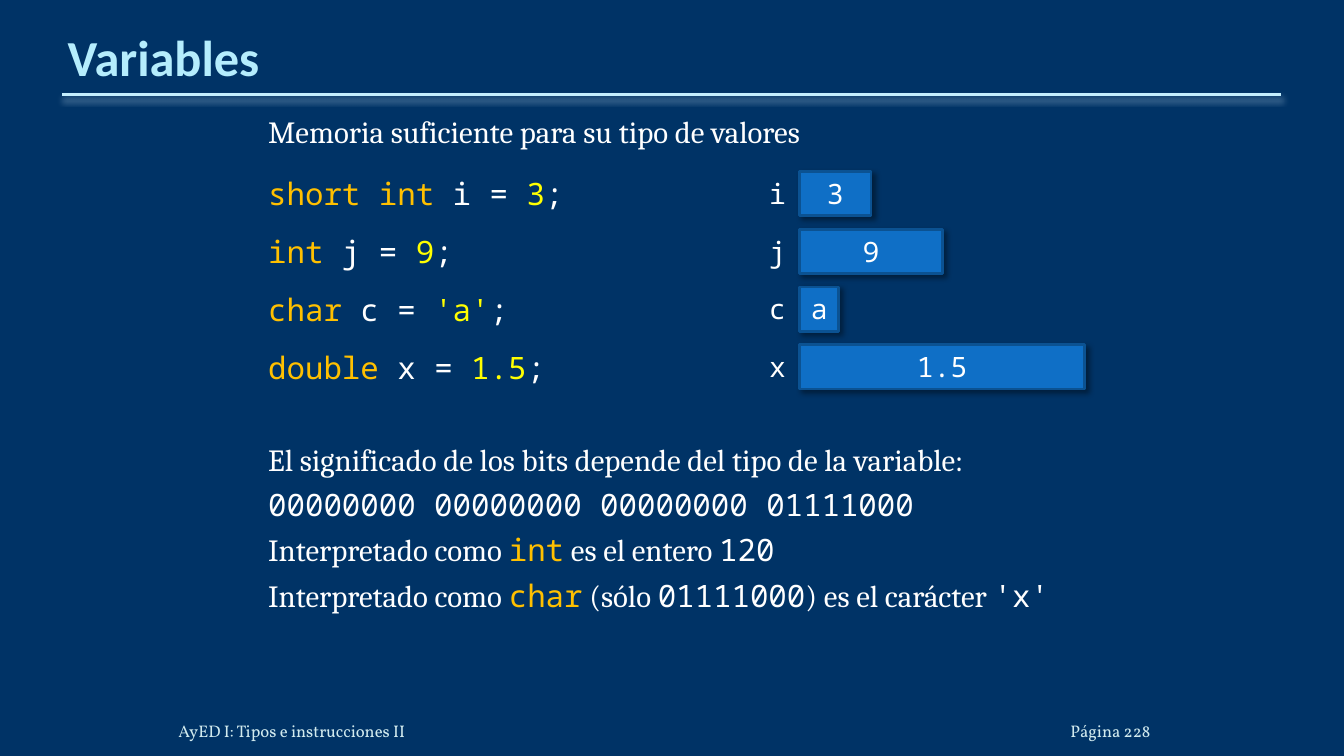
import pptx
import pptx.util
import pptx.dml.color
import pptx.enum.shapes
import pptx.enum.text
import pptx.oxml
from dataclasses import dataclass

Inches = pptx.util.Inches
Pt = pptx.util.Pt
ANCHOR = pptx.enum.text.MSO_ANCHOR
ALIGN = pptx.enum.text.PP_ALIGN
AUTO = pptx.enum.text.MSO_AUTO_SIZE
DRAWING = 'xmlns:a="http://schemas.openxmlformats.org/drawingml/2006/main"'


@dataclass(frozen=True)
class Theme:
    background: str = "003366"
    title: str = "B5EDFD"
    title_outline: str = "0070C0"
    rule: str = "C4EFFF"
    rule_shadow: str = "9AB8D0"
    text: str = "FFFFFF"
    keyword: str = "FFC000"
    literal: str = "FFFF00"
    footer: str = "D1EAEE"
    cell: str = "0F6FC6"
    cell_line: str = "0B5292"
    cell_shadow: str = "000000"
    title_size: int = 36
    body_size: int = 22
    cell_size: int = 20
    footer_size: int = 12
    heading_font: str = "Calibri"
    prose_font: str = "Cambria"
    code_font: str = "Noto Sans Mono"
    footer_font: str = "Vollkorn"


THEME = Theme()

# Span styles: font and colour
PROSE = (THEME.prose_font, THEME.text)
CODE = (THEME.code_font, THEME.text)
KEYWORD = (THEME.code_font, THEME.keyword)
LITERAL = (THEME.code_font, THEME.literal)

# Declarations: type, name, value, width of the memory cell
VARIABLES = [
    ("short int", "i", "3", 0.71),
    ("int", "j", "9", 1.42),
    ("char", "c", "'a'", 0.39),
    ("double", "x", "1.5", 2.83),
]
BITS_LINES = [
    [("El significado de los bits depende del tipo de la variable:", PROSE)],
    [("00000000 00000000 00000000 01111000", CODE)],
    [("Interpretado como ", PROSE), ("int", KEYWORD),
     (" es el entero ", PROSE), ("120", CODE)],
    [("Interpretado como ", PROSE), ("char", KEYWORD), (" (sólo ", PROSE),
     ("01111000", CODE), (") es el carácter ", PROSE), ("'x'", CODE)],
]


def color(code):
    return pptx.dml.color.RGBColor.from_string(code)


def apply(target, values):
    for name, value in values.items():
        setattr(target, name, value)


def place(shape, box):
    left, top, width, height = (Inches(length) for length in box)
    apply(shape, {"left": left, "top": top, "width": width, "height": height})


def set_frame(frame, margins=(0.1, 0.05, 0.1, 0.05), anchor=ANCHOR.TOP,
              wrap=True, auto_size=AUTO.NONE):
    left, top, right, bottom = (Inches(length) for length in margins)
    apply(frame, {"margin_left": left, "margin_top": top, "margin_right": right,
                  "margin_bottom": bottom, "vertical_anchor": anchor,
                  "word_wrap": wrap, "auto_size": auto_size})


def add_span(para, text, style, size, bold=False):
    font, code = style
    span = para.add_run()
    span.text = text
    apply(span.font, {"name": font, "size": Pt(size), "bold": bold})
    span.font.color.rgb = color(code)
    return span


def add_shadow(shape, code, opacity, blur, distance, angle):
    shape._element.spPr.append(pptx.oxml.parse_xml(
        f'<a:effectLst {DRAWING}><a:outerShdw blurRad="{Pt(blur)}" '
        f'dist="{Pt(distance)}" dir="{angle * 60000}" algn="tl" rotWithShape="0">'
        f'<a:srgbClr val="{code}"><a:alpha val="{opacity * 1000}"/></a:srgbClr>'
        '</a:outerShdw></a:effectLst>'))


def add_header(page, box):
    left, top, width, height = box
    # Title
    title = page.shapes.title
    place(title, box)
    set_frame(title.text_frame, (0, 0.05, 0, 0), ANCHOR.BOTTOM)
    para = title.text_frame.paragraphs[0]
    para.alignment = ALIGN.LEFT
    span = add_span(para, "Variables", (THEME.heading_font, THEME.title),
                    THEME.title_size, True)
    span.font._element.insert(0, pptx.oxml.parse_xml(
        f'<a:ln {DRAWING} w="{Pt(0.75)}"><a:solidFill>'
        f'<a:srgbClr val="{THEME.title_outline}"/></a:solidFill></a:ln>'))
    # Rule under the title
    rule_y = Inches(top + height + 0.08)
    rule = page.shapes.add_connector(
        pptx.enum.shapes.MSO_CONNECTOR.STRAIGHT,
        Inches(left - 0.05), rule_y, Inches(left + width + 0.04), rule_y)
    rule.line.color.rgb = color(THEME.rule)
    rule.line.width = Pt(2.25)
    add_shadow(rule, THEME.rule_shadow, 48, 4.5, 3, 90)


def add_body(page, box):
    body = page.shapes.add_textbox(0, 0, 0, 0)
    place(body, box)
    set_frame(body.text_frame, (0.49, 0.05, 0.1, 0.05))
    # Each line: spans, space before, space after
    lines = [([("Memoria suficiente para su tipo de valores", PROSE)], 0, 12)]
    for kind, name, value, _ in VARIABLES:
        lines.append(([(kind, KEYWORD), (f" {name} = ", CODE),
                       (value, LITERAL), (";", CODE)], 6, 9))
    for index, spans in enumerate(BITS_LINES):
        lines.append((spans, 0 if index else 30, 6))
    for index, (spans, before, after) in enumerate(lines):
        frame = body.text_frame
        para = frame.add_paragraph() if index else frame.paragraphs[0]
        apply(para, {"space_before": Pt(before), "space_after": Pt(after)})
        for text, style in spans:
            add_span(para, text, style, THEME.body_size)


def write_cell(shape, text, wrap):
    set_frame(shape.text_frame, wrap=wrap, auto_size=AUTO.SHAPE_TO_FIT_TEXT)
    para = shape.text_frame.paragraphs[0]
    apply(para, {"alignment": ALIGN.CENTER, "space_after": Pt(6)})
    add_span(para, text, CODE, THEME.cell_size)


def add_memory(page, box):
    left, top, _, height = box
    cell_height = 0.44
    pitch = (height - cell_height) / (len(VARIABLES) - 1)
    for row, (_, name, value, width) in enumerate(VARIABLES):
        row_top = top + row * pitch
        # Variable name
        label = page.shapes.add_textbox(0, 0, 0, 0)
        place(label, (left, row_top, 0.36, cell_height))
        write_cell(label, name, False)
        # Memory cell
        cell = page.shapes.add_shape(
            pptx.enum.shapes.MSO_SHAPE.RECTANGLE, 0, 0, 0, 0)
        place(cell, (left + 0.4, row_top, width, cell_height))
        cell.fill.solid()
        cell.fill.fore_color.rgb = color(THEME.cell)
        cell.line.color.rgb = color(THEME.cell_line)
        cell.line.width = Pt(2)
        add_shadow(cell, THEME.cell_shadow, 40, 4, 3, 45)
        write_cell(cell, value.strip("'"), True)


def add_footer(page, box):
    left, top, width, height = box
    number_width = 1.31
    parts = [
        ("AyED I: Tipos e instrucciones II", left, 8.13, ALIGN.LEFT),
        ("Página 228", left + width - number_width, number_width, ALIGN.RIGHT),
    ]
    for text, part_left, part_width, alignment in parts:
        part = page.shapes.add_textbox(0, 0, 0, 0)
        place(part, (part_left, top, part_width, height))
        set_frame(part.text_frame, (0, 0, 0, 0), ANCHOR.BOTTOM)
        para = part.text_frame.paragraphs[0]
        para.alignment = alignment
        add_span(para, text, (THEME.footer_font, THEME.footer), THEME.footer_size)


def main():
    deck = pptx.Presentation()
    apply(deck, {"slide_width": Inches(13.33), "slide_height": Inches(7.5)})
    page = deck.slides.add_slide(deck.slide_layouts[5])
    page.background.fill.solid()
    page.background.fill.fore_color.rgb = color(THEME.background)
    add_header(page, (0.67, 0.31, 12, 0.55))
    add_body(page, (2.17, 1.07, 9.15, 5.59))
    add_memory(page, (7.53, 1.7, 3.23, 2.16))
    add_footer(page, (1.77, 6.95, 9.64, 0.4))
    deck.save("out.pptx")


if __name__ == "__main__":
    main()
